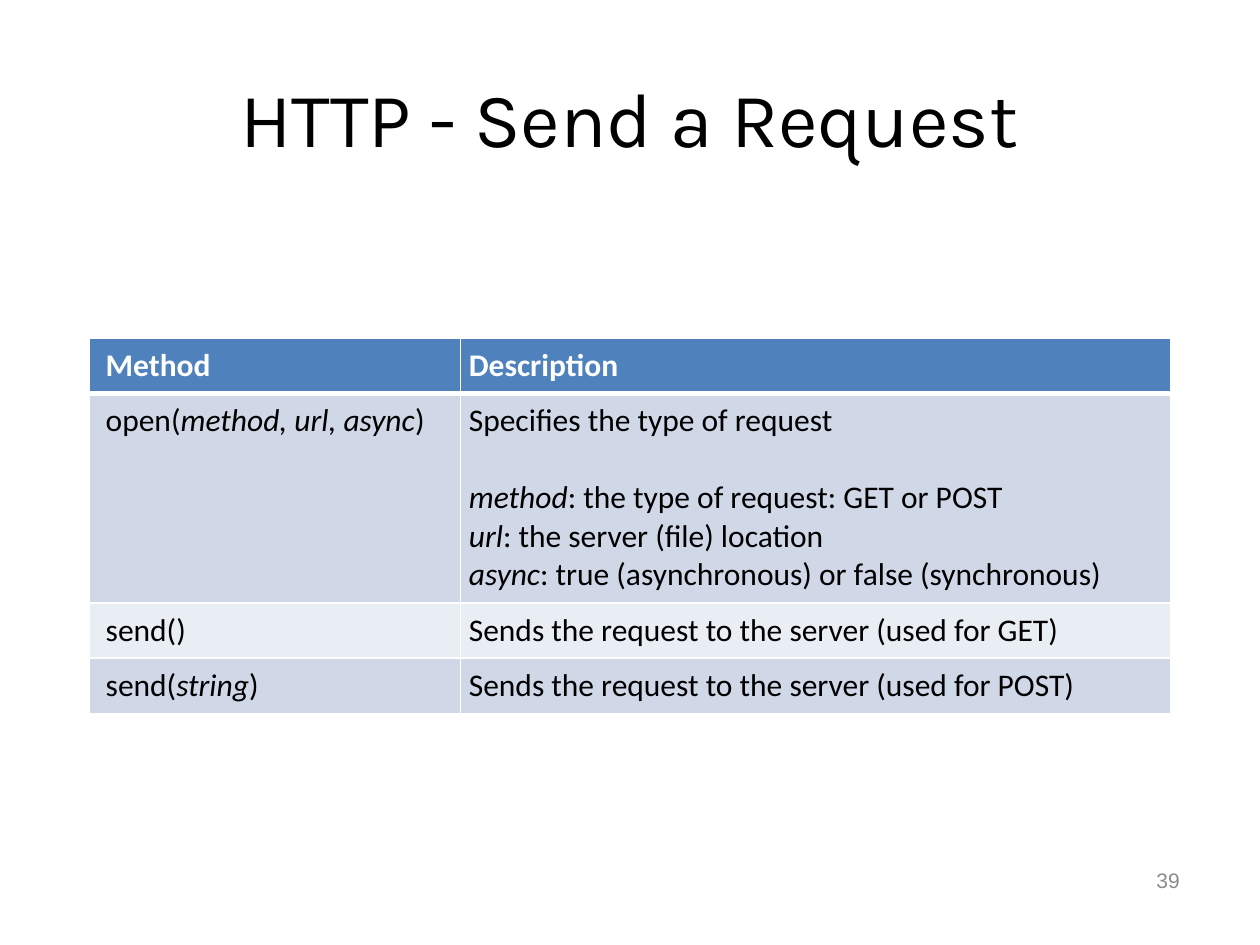
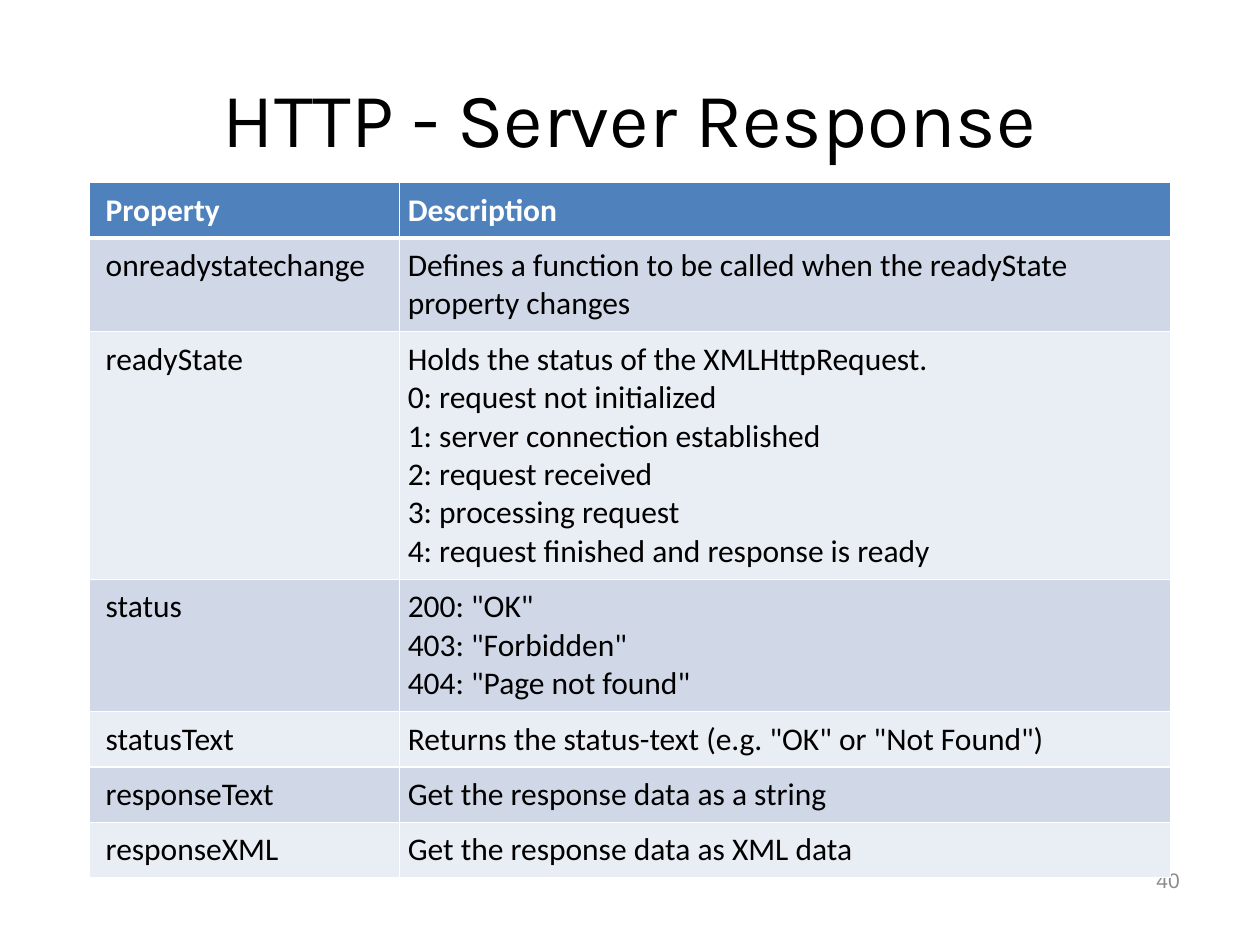
from dataclasses import dataclass
from itertools import product

from lxml.etree import SubElement
from pptx import Presentation
from pptx.dml.color import RGBColor
from pptx.enum.text import MSO_ANCHOR, PP_ALIGN
from pptx.oxml.ns import qn
from pptx.util import Inches, Length, Pt

COLORS = {
    "text": "000000",
    "header text": "FFFFFF",
    "border": "FFFFFF",
    "header": "4F81BD",
    "odd row": "D0D8E8",
    "even row": "E9EDF4",
    "page number": "8C8C8C",
}
SLIDE_WIDTH, SLIDE_HEIGHT = Inches(10), Inches(7.5)
GRID_COLUMNS, GRID_ROWS = 100, 75
TABLE_LEFT, TABLE_WIDTH = 7.1, 85.8
LINE_HEIGHT, CELL_MARGIN, FIRST_MARGIN = 22, 4.8, 9.3


@dataclass(frozen=True)
class ReferenceSlide:
    title: str
    page: int
    table_top: float
    term_width: float
    rows: list[tuple[str, str]]
    wrapped_row: int | None = None


SLIDES = [
    ReferenceSlide("HTTP - Send a Request", 39, 26.85, 29.45, [
        ("Method", "Description"),
        ("open(*method, url, async*)",
         "Specifies the type of request\n\n"
         "*method*: the type of request: GET or POST\n"
         "*url*: the server (file) location\n"
         "*async*: true (asynchronous) or false (synchronous)"),
        ("send()", "Sends the request to the server (used for GET)"),
        ("send(*string*)", "Sends the request to the server (used for POST)"),
    ]),
    ReferenceSlide("HTTP - Server Response", 40, 14.5, 24.6, [
        ("Property", "Description"),
        ("onreadystatechange",
         "Defines a function to be called when the readyState property changes"),
        ("readyState",
         "Holds the status of the XMLHttpRequest.\n"
         "0: request not initialized\n"
         "1: server connection established\n"
         "2: request received\n"
         "3: processing request\n"
         "4: request finished and response is ready"),
        ("status", '200: "OK"\n403: "Forbidden"\n404: "Page not found"'),
        ("statusText", 'Returns the status-text (e.g. "OK" or "Not Found")'),
        ("responseText", "Get the response data as a string"),
        ("responseXML", "Get the response data as XML data"),
    ], wrapped_row=1),
]


def across(columns: float) -> Length:
    return Length(round(SLIDE_WIDTH * columns / GRID_COLUMNS))


def down(rows: float) -> Length:
    return Length(round(SLIDE_HEIGHT * rows / GRID_ROWS))


def style(paragraph, font_name: str, size: float, color: str, bold: bool = False) -> None:
    font = paragraph.font
    font.name, font.size, font.bold = font_name, Pt(size), bold
    font.color.rgb = RGBColor.from_string(COLORS[color])


def add_title(slide, text: str) -> None:
    title = slide.shapes.title
    title.left, title.top = across(5), down(3)
    title.width, title.height = across(90), down(12.5)
    title.text_frame.vertical_anchor = MSO_ANCHOR.MIDDLE
    paragraph = title.text_frame.paragraphs[0]
    paragraph.text = text
    paragraph.alignment = PP_ALIGN.CENTER
    style(paragraph, "Karla", 44, "text")


def add_page_number(slide, page: int) -> None:
    footer = slide.shapes.add_textbox(across(90.8), down(68.35), across(5.8), down(5))
    footer.text_frame.word_wrap = True
    paragraph = footer.text_frame.paragraphs[0]
    paragraph.text = str(page)
    style(paragraph, "Arial", 12, "page number")


def write_cell(cell, text: str, is_header: bool) -> None:
    frame = cell.text_frame
    for block_index, block in enumerate(text.split("\n\n")):
        for line_index, line in enumerate(block.split("\n")):
            starts_cell = block_index == line_index == 0
            paragraph = frame.paragraphs[0] if starts_cell else frame.add_paragraph()
            if block_index and not line_index:
                paragraph.space_before = Pt(LINE_HEIGHT)
            for part_index, part in enumerate(line.split("*")):
                if part:
                    run = paragraph.add_run()
                    run.text = part
                    if part_index % 2:
                        run.font.italic = True
            style(paragraph, "Calibri", 18, "header text" if is_header else "text", is_header)


def add_borders(cell, row: int) -> None:
    properties = cell._tc.get_or_add_tcPr()
    widths = {"L": 1, "R": 1, "T": 3 if row == 1 else 1, "B": 3 if row == 0 else 1}
    for side, width in widths.items():
        line = SubElement(properties, qn(f"a:ln{side}"), w=str(Pt(width)))
        SubElement(SubElement(line, qn("a:solidFill")), qn("a:srgbClr"), val=COLORS["border"])


def add_reference_table(slide, content: ReferenceSlide) -> None:
    heights = [
        Pt(LINE_HEIGHT * (description.count("\n") + 1 + (row == content.wrapped_row))
           + 2 * CELL_MARGIN)
        for row, (_, description) in enumerate(content.rows)
    ]
    table = slide.shapes.add_table(
        len(content.rows), 2, across(TABLE_LEFT), down(content.table_top),
        across(TABLE_WIDTH), Length(sum(heights)),
    ).table
    table.columns[0].width = across(content.term_width)
    table.columns[1].width = across(TABLE_WIDTH - content.term_width)
    for table_row, height in zip(table.rows, heights):
        table_row.height = height
    for row, column in product(range(len(content.rows)), range(2)):
        cell = table.cell(row, column)
        cell.margin_left = Pt(CELL_MARGIN if column else FIRST_MARGIN)
        cell.margin_right = cell.margin_top = cell.margin_bottom = Pt(CELL_MARGIN)
        add_borders(cell, row)
        fill = "header" if row == 0 else "odd row" if row % 2 else "even row"
        cell.fill.solid()
        cell.fill.fore_color.rgb = RGBColor.from_string(COLORS[fill])
        write_cell(cell, content.rows[row][column], row == 0)


def main() -> None:
    presentation = Presentation()
    presentation.slide_width, presentation.slide_height = SLIDE_WIDTH, SLIDE_HEIGHT
    title_only = presentation.slide_layouts[5]
    for content in SLIDES:
        slide = presentation.slides.add_slide(title_only)
        add_title(slide, content.title)
        add_page_number(slide, content.page)
        add_reference_table(slide, content)
    presentation.save("out.pptx")


if __name__ == "__main__":
    main()
